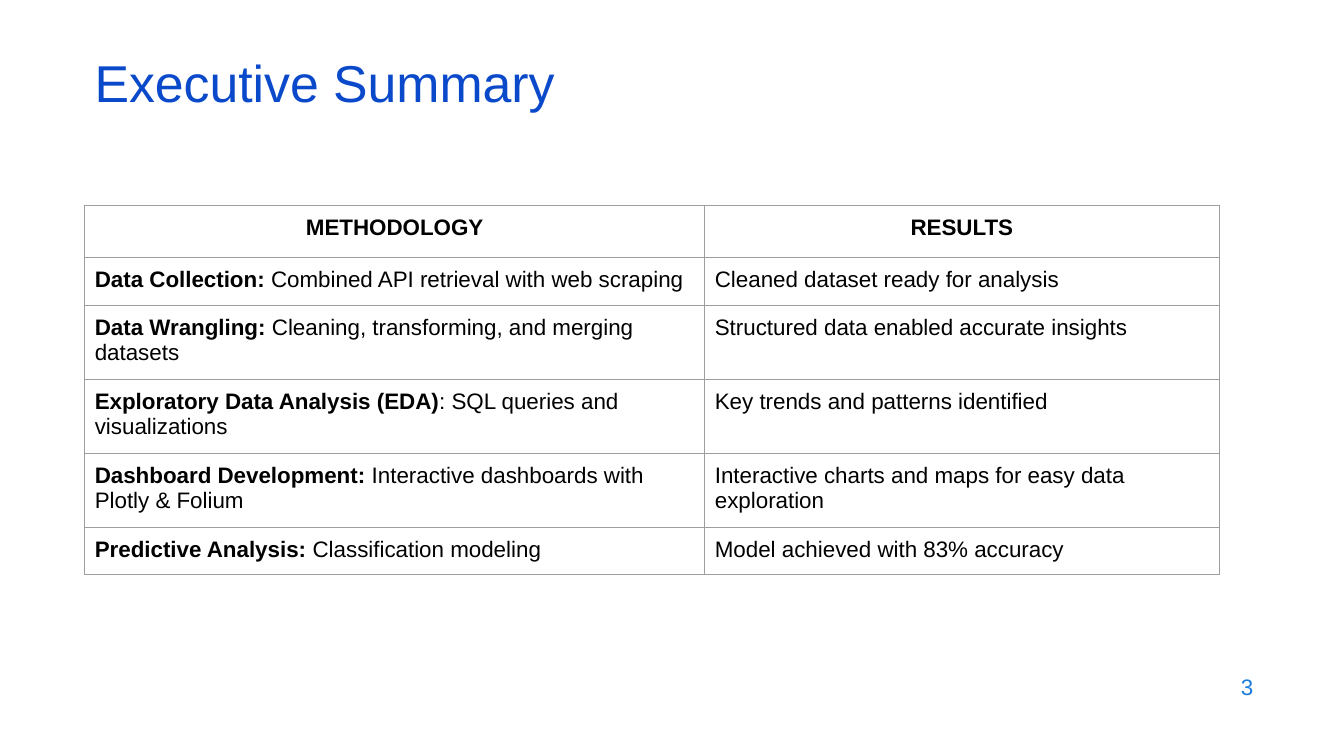
from lxml import etree
from pptx import Presentation
from pptx.dml.color import RGBColor
from pptx.enum.text import MSO_ANCHOR, PP_ALIGN
from pptx.oxml.ns import qn
from pptx.util import Inches, Pt

LEFT, CENTER, RIGHT = PP_ALIGN.LEFT, PP_ALIGN.CENTER, PP_ALIGN.RIGHT
MIDDLE = MSO_ANCHOR.MIDDLE

COLORS = {
    "title": "0B49CB",
    "number": "1C7DDB",
    "text": "000000",
    "border": "9E9E9E",
}
FONT = "Arial"
BORDER_WIDTH = Pt(0.75)
COLUMN_WIDTHS = [6.15, 5.1]
ROW_HEIGHTS = [0.51, 0.48, 0.48, 0.48, 0.48, 0.46]

# Each cell is a pair: bold text, regular text
ROWS = [
    [("METHODOLOGY", ""), ("RESULTS", "")],
    [("Data Collection: ", "Combined API retrieval with web scraping"),
     ("", "Cleaned dataset ready for analysis")],
    [("Data Wrangling:", " Cleaning, transforming, and merging datasets"),
     ("", "Structured data enabled accurate insights")],
    [("Exploratory Data Analysis (EDA)", ": SQL queries and visualizations"),
     ("", "Key trends and patterns identified")],
    [("Dashboard Development: ", "Interactive dashboards with Plotly & Folium"),
     ("", "Interactive charts and maps for easy data exploration")],
    [("Predictive Analysis: ", "Classification modeling"),
     ("", "Model achieved with 83% accuracy")],
]


def add_run(p, text, size, color, bold=False):
    r = p.add_run()
    r.text = text
    r.font.name = FONT
    r.font.size = Pt(size)
    r.font.bold = bold
    r.font.color.rgb = RGBColor.from_string(COLORS[color])


def set_borders(cell):
    tc_pr = cell._tc.get_or_add_tcPr()
    for side in ("a:lnL", "a:lnR", "a:lnT", "a:lnB"):
        ln = etree.SubElement(tc_pr, qn(side), w=str(BORDER_WIDTH))
        fill = etree.SubElement(ln, qn("a:solidFill"))
        etree.SubElement(fill, qn("a:srgbClr"), val=COLORS["border"])


prs = Presentation()
prs.slide_width = Inches(13.33)
prs.slide_height = Inches(7.5)
slide = prs.slides.add_slide(prs.slide_layouts[6])

# Title and slide number
for text, box, size, color, align, spacing in [
    ("Executive Summary", (0.84, 0.59, 11.5, 0.6), 37, "title", LEFT, 0.7),
    ("3", (9.53, 6.59, 3, 0.44), 16, "number", RIGHT, 1.0),
]:
    tf = slide.shapes.add_textbox(*map(Inches, box)).text_frame
    tf.word_wrap = True
    tf.vertical_anchor = MIDDLE
    p = tf.paragraphs[0]
    p.alignment = align
    p.line_spacing = spacing
    add_run(p, text, size, color)

# Methodology and results table
table = slide.shapes.add_table(
    len(ROWS), len(COLUMN_WIDTHS), Inches(0.84), Inches(2.04),
    Inches(sum(COLUMN_WIDTHS)), Inches(sum(ROW_HEIGHTS))).table
table.first_row = False
table.horz_banding = False
for column, width in zip(table.columns, COLUMN_WIDTHS):
    column.width = Inches(width)
for row, height in zip(table.rows, ROW_HEIGHTS):
    row.height = Inches(height)

for i, row in enumerate(ROWS):
    for j, (bold_text, regular_text) in enumerate(row):
        cell = table.cell(i, j)
        cell.margin_left = cell.margin_right = Inches(0.1)
        cell.margin_top = cell.margin_bottom = Inches(0.1)
        set_borders(cell)
        cell.fill.background()
        p = cell.text_frame.paragraphs[0]
        p.alignment = CENTER if i == 0 else LEFT
        if bold_text:
            add_run(p, bold_text, 16, "text", bold=True)
        if regular_text:
            add_run(p, regular_text, 16, "text")

prs.save("out.pptx")
